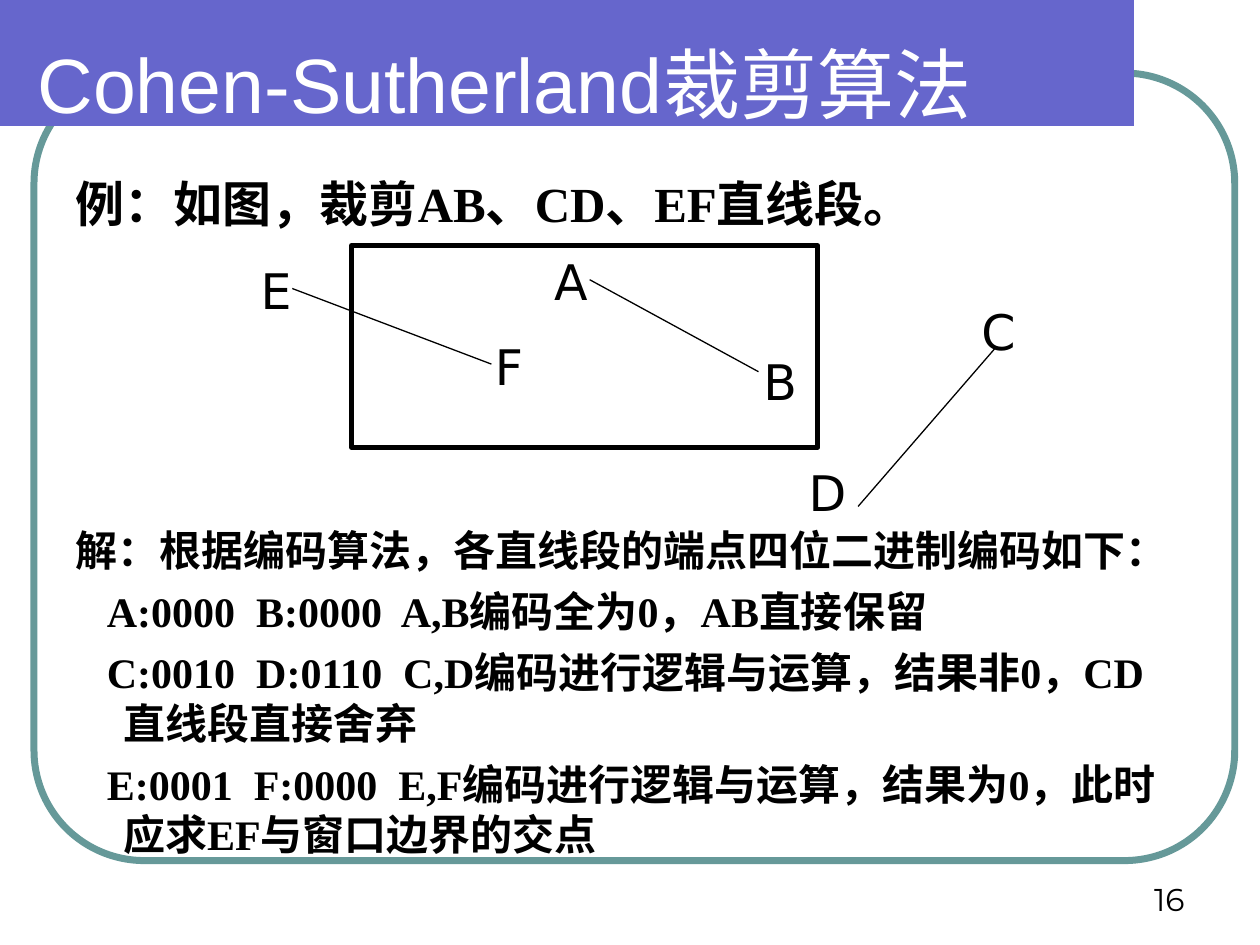
from dataclasses import dataclass
from math import cos, pi, sin

from lxml.etree import SubElement
from pptx import Presentation
from pptx.dml.color import RGBColor
from pptx.enum.shapes import MSO_CONNECTOR as Connector, MSO_SHAPE as Preset
from pptx.enum.text import MSO_ANCHOR as Anchor, PP_ALIGN as Align
from pptx.oxml.ns import qn
from pptx.util import Inches, Pt

TITLE = "Cohen-Sutherland裁剪算法"
PAGE_NUMBER = "16"
EXAMPLE = "例：如图，裁剪AB、CD、EF直线段。"
SOLUTION = "解：根据编码算法，各直线段的端点四位二进制编码如下："
CASES = [
    "A:0000  B:0000  A,B编码全为0，AB直接保留",
    "C:0010  D:0110  C,D编码进行逻辑与运算，结果非0，CD直线段直接舍弃",
    "E:0001  F:0000  E,F编码进行逻辑与运算，结果为0，此时应求EF与窗口边界的交点",
]
CLIP_WINDOW = (2.79, 1.95, 3.7, 1.6)
SEGMENTS = [
    ((2.32, 2.29), (3.9, 2.89)),
    ((4.68, 2.22), (6.02, 2.95)),
    ((7.91, 2.75), (6.81, 4.02)),
]
LABELS = {
    "A": (4.3, 1.95, 0.45),
    "B": (5.96, 2.74, 0.45),
    "C": (7.69, 2.34, 0.44),
    "D": (6.32, 3.62, 0.48),
    "E": (1.97, 2.02, 0.41),
    "F": (3.83, 2.62, 0.4),
}


@dataclass(frozen=True)
class Theme:
    ink: RGBColor = RGBColor(0, 0, 0)
    paper: RGBColor = RGBColor(255, 255, 255)
    banner: RGBColor = RGBColor(0x66, 0x66, 0xCC)
    frame: RGBColor = RGBColor(0x66, 0x99, 0x99)
    title_size: int = 44
    example_size: int = 28
    solution_size: int = 24
    number_size: int = 18
    title_font: str = "Arial"
    body_font: str = "Times New Roman"
    label_font: str = "DejaVu Sans"
    number_font: str = "Montserrat"


theme = Theme()


def add_span(para, text, font, size, color=theme.ink, bold=False):
    span = para.add_run()
    span.text = text
    span.font.name = font
    span.font.size = Pt(size)
    span.font.color.rgb = color
    span.font.bold = bold


def add_box(shapes, place, anchor=Anchor.TOP, wrap=True):
    frame = shapes.add_textbox(*map(Inches, place)).text_frame
    frame.word_wrap = wrap
    frame.vertical_anchor = anchor
    return frame


def add_outline(shapes, preset, place, color, width):
    shape = shapes.add_shape(preset, *map(Inches, place))
    shape.shadow.inherit = False
    shape.fill.background()
    shape.line.color.rgb = color
    shape.line.width = Pt(width)
    return shape


def add_segment(shapes, start, end):
    line = shapes.add_connector(Connector.STRAIGHT, *map(Inches, start + end))
    line.line.color.rgb = theme.ink
    line.line.width = Pt(0.75)
    SubElement(line._element.spPr, qn("a:effectLst"))


def add_banner(shapes):
    left, top, center, radius, steps = 0.08, 0.13, 8.86, 0.55, 48
    angles = [pi * step / steps - pi / 2 for step in range(steps + 1)]
    arc = [(center + radius * cos(a), top + radius + radius * sin(a)) for a in angles]
    builder = shapes.build_freeform(left, top, scale=Inches(1))
    builder.add_line_segments(arc + [(left, top + 2 * radius)], close=True)
    banner = builder.convert_to_shape()
    banner.shadow.inherit = False
    banner.fill.solid()
    banner.fill.fore_color.rgb = theme.banner
    banner.line.fill.background()


def add_body(shapes):
    body = add_box(shapes, (0.5, 1.33, 9, 5.89))
    rows = [(EXAMPLE, theme.example_size, 0, -0.38),
            (SOLUTION, theme.solution_size, 167, -0.38)]
    rows += [(case, theme.solution_size, 6, -0.13) for case in CASES]
    for index, (text, size, before, indent) in enumerate(rows):
        para = body.add_paragraph() if index else body.paragraphs[0]
        para.space_before = Pt(before)
        props = para._p.get_or_add_pPr()
        props.set("marL", str(Inches(0.38)))
        props.set("indent", str(Inches(indent)))
        add_span(para, text, theme.body_font, size, bold=True)


def add_diagram(shapes):
    group = shapes.add_group_shape().shapes
    add_outline(group, Preset.RECTANGLE, CLIP_WINDOW, theme.ink, 3)
    for start, end in SEGMENTS:
        add_segment(group, start, end)
    for name, (left, top, width) in LABELS.items():
        label = add_box(group, (left, top, width, 0.57), wrap=False)
        add_span(label.paragraphs[0], name, theme.label_font, theme.example_size)


def main():
    deck = Presentation()
    deck.slide_width, deck.slide_height = Inches(10), Inches(7.5)
    page = deck.slides.add_slide(deck.slide_layouts[6])
    shapes = page.shapes

    frame = add_outline(shapes, Preset.ROUNDED_RECTANGLE, (0.27, 0.58, 9.53, 6.25),
                        theme.frame, 4)
    frame.adjustments[0] = 0.14
    add_banner(shapes)
    add_body(shapes)

    number = add_box(shapes, (7.17, 6.83, 2.33, 0.5), Anchor.BOTTOM).paragraphs[0]
    number.alignment = Align.RIGHT
    add_span(number, PAGE_NUMBER, theme.number_font, theme.number_size)

    add_diagram(shapes)
    title = add_box(shapes, (0.2, 0.13, 9.18, 1.05), Anchor.MIDDLE).paragraphs[0]
    add_span(title, TITLE, theme.title_font, theme.title_size, theme.paper)
    deck.save("out.pptx")


if __name__ == "__main__":
    main()
